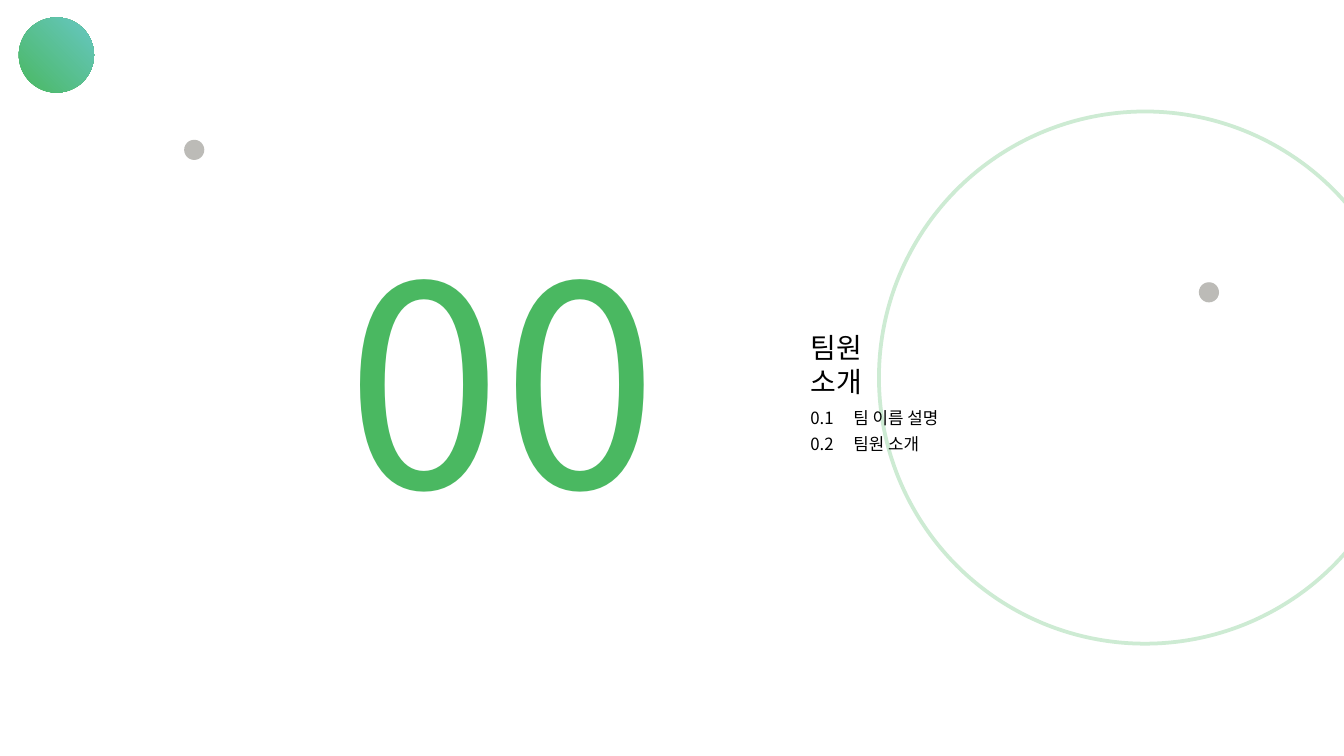
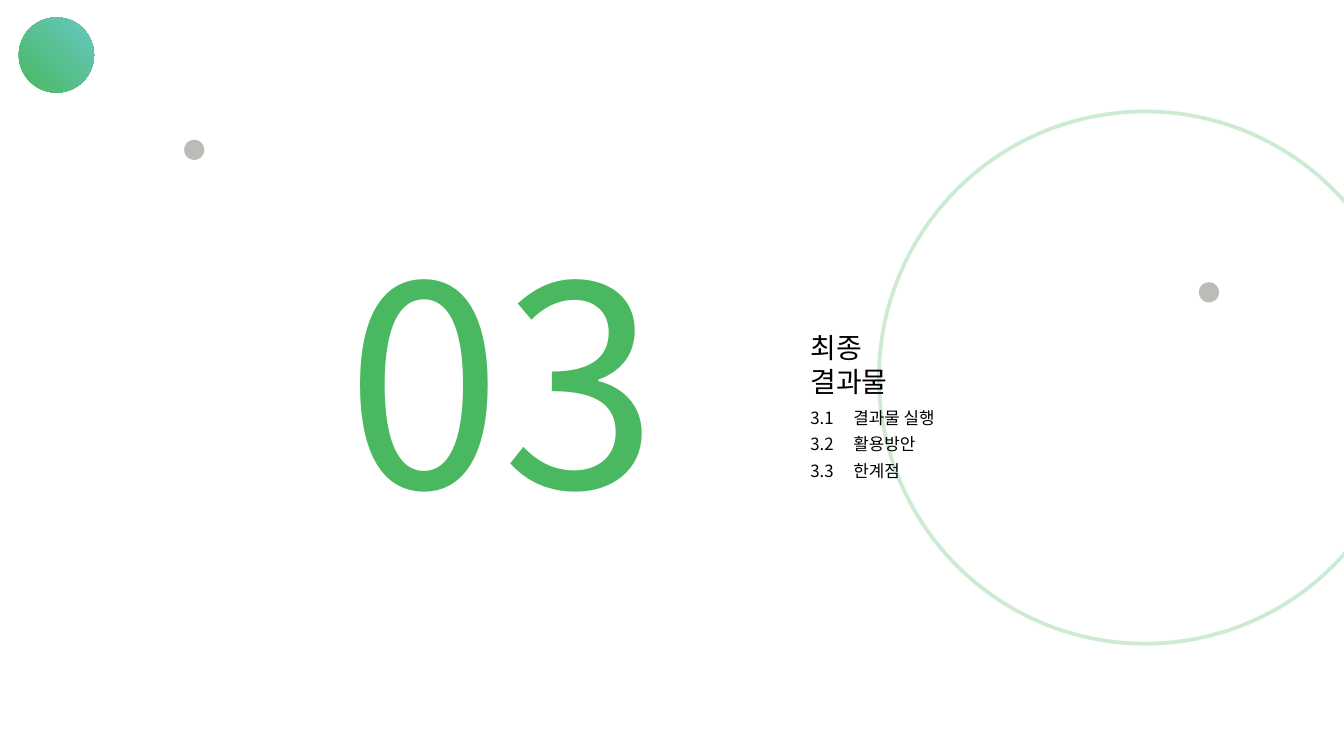
from dataclasses import dataclass

from lxml import etree
from pptx import Presentation, util as u
from pptx.dml.color import RGBColor
from pptx.enum import shapes, text
from pptx.oxml import ns

FONT = "Noto Sans CJK KR"
GREEN, TEAL, PALE, GRAY, BLACK = "4AB861", "67C7C3", "CDEBD3", "BCBBB7", "000000"
WIDE = u.Inches(10)
HIGH = WIDE * 9 // 16
FRAME = {
    "margin_left": u.Inches(0.07),
    "margin_right": u.Inches(0.07),
    "margin_top": u.Inches(0.04),
    "margin_bottom": u.Inches(0.04),
    "word_wrap": True,
    "vertical_anchor": text.MSO_ANCHOR.TOP,
    "auto_size": text.MSO_AUTO_SIZE.NONE,
}
PARA = {"alignment": text.PP_ALIGN.LEFT, "line_spacing": 1.0}


@dataclass
class Box:
    """Place and size in inches."""
    x: float
    y: float
    w: float
    h: float


@dataclass
class Disc:
    """Circle with a solid, blended or outlined look."""
    x: float
    y: float
    size: float
    color: str
    blend: str = ""
    line: float = 0


@dataclass
class Part:
    """Section number, title and entries."""
    num: str
    title: str
    items: list[str]


RING = Disc(6.54, 0.83, 3.96, PALE, line=2)
DISCS = [
    Disc(0.14, 0.13, 0.56, GREEN, blend=TEAL),
    Disc(8.92, 2.1, 0.15, GRAY),
    Disc(1.37, 1.04, 0.15, GRAY),
]
NUM = Box(2.51, 1.51, 2.76, 2.6)
TITLE = Box(5.96, 2.42, 0.74, 0.6)
ITEM = Box(5.96, 2.99, 1.12, 0.23)
STEP, TAB = 0.2, 0.32
PARTS = [
    Part("00", "팀원 소개", ["팀 이름 설명", "팀원 소개"]),
    Part("03", "최종 결과물", ["결과물 실행", "활용방안", "한계점"]),
]


def assign(obj, vals: dict) -> None:
    """Set each named attribute of an object."""
    for key, val in vals.items():
        setattr(obj, key, val)


def paint(fill, color: str, blend: str = "") -> None:
    """Fill with one colour, or blend two towards the upper right."""
    if not blend:
        fill.solid()
        fill.fore_color.rgb = RGBColor.from_string(color)
        return
    fill.gradient()
    fill.gradient_angle = 45
    for stop, tone in zip(fill.gradient_stops, (color, blend)):
        stop.color.rgb = RGBColor.from_string(tone)


def draw(slide, disc: Disc):
    """Draw one circle."""
    size = u.Inches(disc.size)
    shape = slide.shapes.add_shape(
        shapes.MSO_SHAPE.OVAL, u.Inches(disc.x), u.Inches(disc.y), size, size)
    shape.shadow.inherit = False
    if disc.line:
        shape.fill.background()
        paint(shape.line.fill, disc.color)
        shape.line.width = u.Pt(disc.line)
    else:
        paint(shape.fill, disc.color, disc.blend)
        shape.line.fill.background()
    return shape


def write(shape, words: str, size: float, color: str = BLACK,
          blend: str = "", tab: float = 0) -> None:
    """Put formatted text in a shape."""
    frame = shape.text_frame
    frame.text = words
    assign(frame, FRAME)
    para = frame.paragraphs[0]
    if tab:
        tabs = etree.SubElement(para._p.get_or_add_pPr(), ns.qn("a:tabLst"))
        etree.SubElement(tabs, ns.qn("a:tab"), pos=str(u.Inches(tab)), algn="l")
    assign(para, PARA)
    for run in para.runs:
        assign(run.font, {"name": FONT, "size": u.Pt(size)})
        paint(run.font.fill, color, blend)
        etree.SubElement(run._r.get_or_add_rPr(), ns.qn("a:ea"), typeface=FONT)


def label(slide, box: Box):
    """Add an empty text box."""
    return slide.shapes.add_textbox(*map(u.Inches, (box.x, box.y, box.w, box.h)))


def build(deck, part: Part) -> None:
    """Build one section slide."""
    slide = deck.slides.add_slide(deck.slide_layouts[5])
    title = slide.shapes.title
    title.element.addprevious(draw(slide, RING).element)
    assign(title, {
        "left": u.Inches(TITLE.x), "top": u.Inches(TITLE.y),
        "width": u.Inches(TITLE.w), "height": u.Inches(TITLE.h),
    })
    write(title, part.title, 15)
    write(label(slide, NUM), part.num, 150, GREEN, TEAL)
    for i, item in enumerate(part.items):
        box = Box(ITEM.x, ITEM.y + i * STEP, ITEM.w, ITEM.h)
        write(label(slide, box), f"{int(part.num)}.{i + 1}\t{item}", 9, tab=TAB)
    for disc in DISCS:
        draw(slide, disc)


def main() -> None:
    """Build and save the deck."""
    deck = Presentation()
    assign(deck, {"slide_width": WIDE, "slide_height": HIGH})
    for part in PARTS:
        build(deck, part)
    deck.save("out.pptx")


if __name__ == "__main__":
    main()
